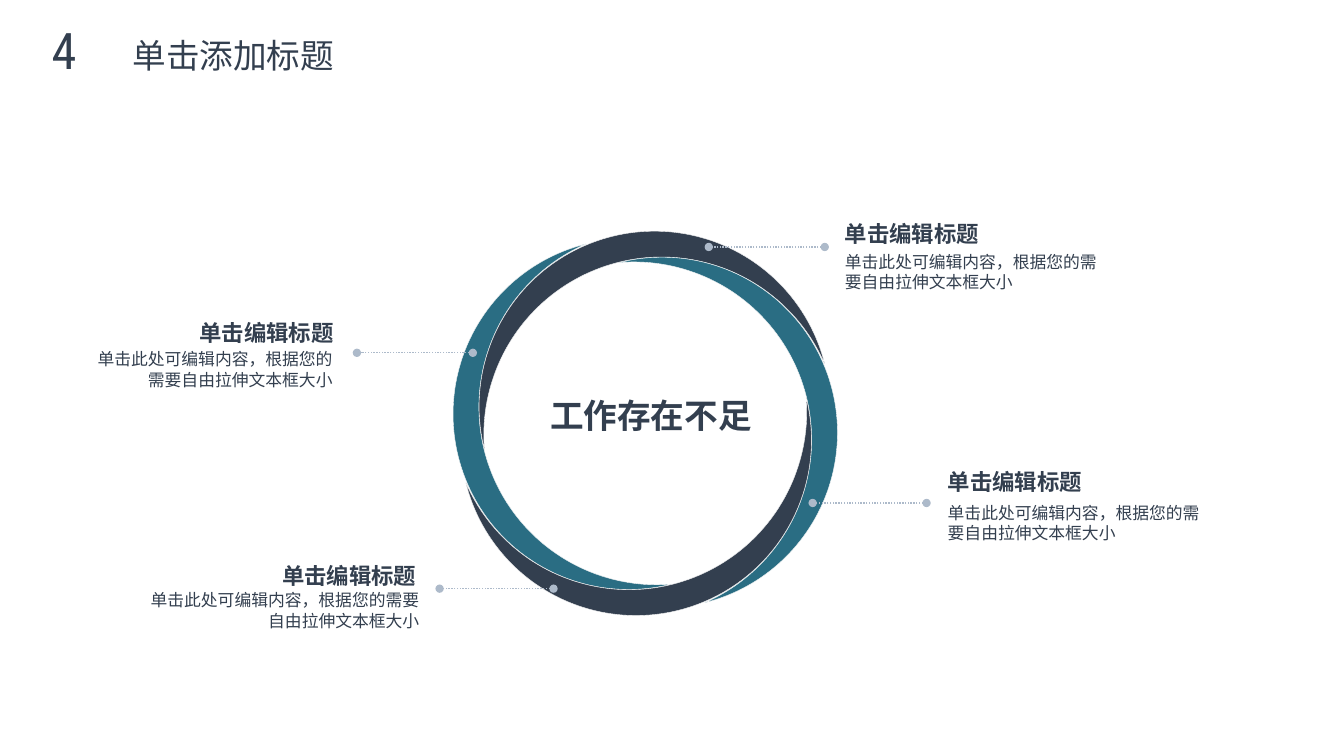
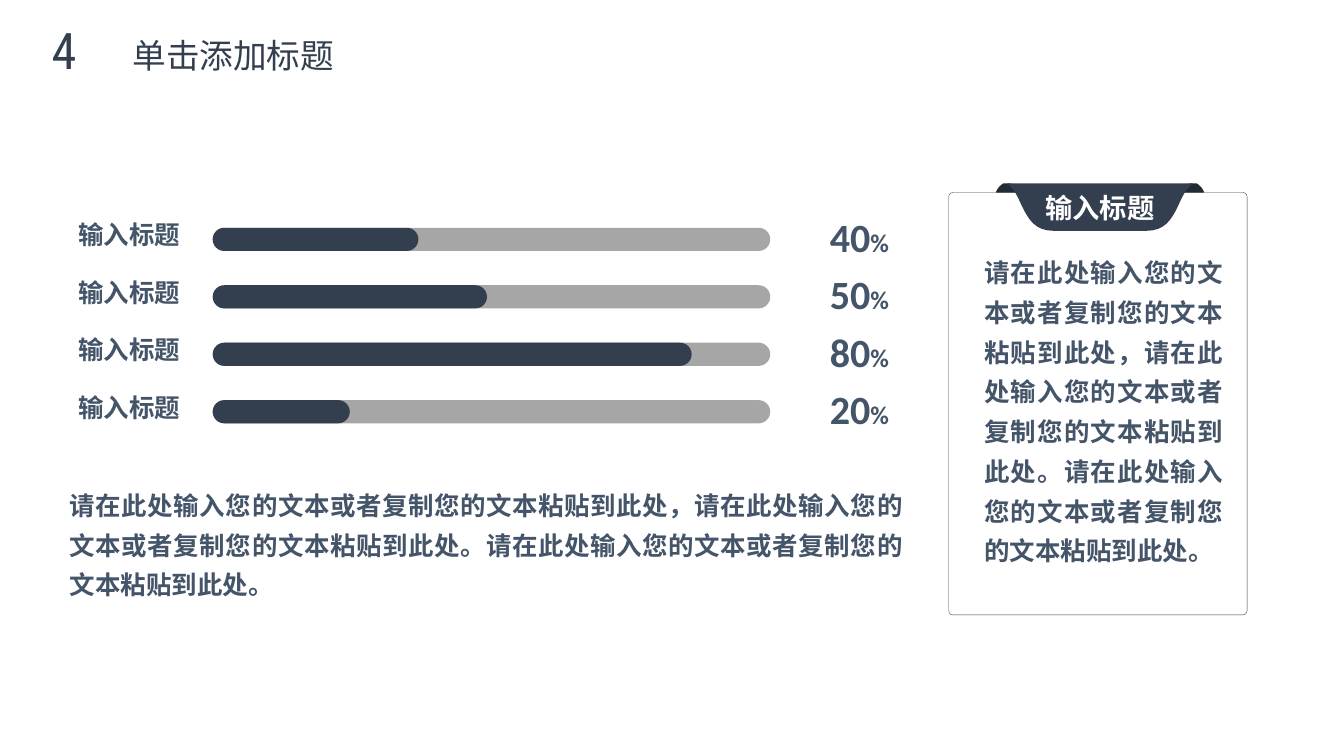
from lxml.etree import SubElement
from pptx import Presentation
from pptx.dml.color import RGBColor
from pptx.enum.dml import MSO_LINE
from pptx.enum.shapes import MSO_CONNECTOR, MSO_SHAPE
from pptx.enum.text import MSO_ANCHOR, MSO_AUTO_SIZE, PP_ALIGN
from pptx.oxml.ns import qn
from pptx.util import Inches, Pt

NAVY = RGBColor(0x33, 0x3F, 0x4F)
DEEP_NAVY = RGBColor(0x22, 0x2A, 0x34)
TEAL = RGBColor(0x2A, 0x6D, 0x83)
SLATE = RGBColor(0x44, 0x54, 0x69)
MIST = RGBColor(0xAD, 0xBA, 0xCA)
GREY = RGBColor(0xA6, 0xA6, 0xA6)
PALE = RGBColor(0xF8, 0xF8, 0xF8)
WHITE = RGBColor(0xFF, 0xFF, 0xFF)

HAN = "Noto Sans CJK SC"
LEFT, RIGHT, CENTER, JUSTIFY = PP_ALIGN.LEFT, PP_ALIGN.RIGHT, PP_ALIGN.CENTER, PP_ALIGN.JUSTIFY
SINGLE, LOOSE = 1.22, 1.56
NO_INSET = (0, 0)
DEFAULT_INSET = (0.1, 0.05)
WIDE_INSET = (0.12, 0.06)

SECTION = "4"
TITLE = "单击添加标题"
RING_TITLE = "工作存在不足"
CALLOUT_TITLE = "单击编辑标题"
CALLOUT_TEXT = "单击此处可编辑内容，根据您的需要自由拉伸文本框大小"
CALLOUTS = [
    {"align": RIGHT, "head": (1.17, 3.16, 2.14), "body": (0.89, 3.46, 2.41), "line": (4.69, 3.54, 3.5)},
    {"align": LEFT, "head": (8.38, 2.18, 1.38), "body": (8.38, 2.49, 2.61), "line": (8.18, 7.03, 2.45)},
    {"align": RIGHT, "head": (1.99, 5.57, 2.14), "body": (1.49, 5.85, 2.67), "line": (5.49, 4.36, 5.84)},
    {"align": LEFT, "head": (9.4, 4.64, 2.14), "body": (9.4, 4.98, 2.57), "line": (9.19, 8.06, 4.99)},
]

BAR_LABEL = "输入标题"
BARS = [("40", 2.04), ("50", 2.72), ("80", 4.75), ("20", 1.36)]
BAR_LEFT, BAR_TOP, BAR_WIDTH, BAR_HEIGHT, BAR_PITCH = 2.11, 2.26, 5.53, 0.23, 0.57
CARD_TITLE = "输入标题"
PARAGRAPH = (
    "请在此处输入您的文本或者复制您的文本粘贴到此处，"
    "请在此处输入您的文本或者复制您的文本粘贴到此处。"
    "请在此处输入您的文本或者复制您的文本粘贴到此处。"
)
CARD_AXIS = 10.91
RIBBON_CURVE = [(10.05, 1.88), (10.16, 2.04), (10.18, 2.29), (10.45, 2.29)]
FOLD_RISE = [(9.88, 1.9), (9.9, 1.86), (9.92, 1.84), (9.95, 1.82)]
FOLD_FALL = [(10.02, 1.82), (10.06, 1.84), (10.08, 1.86), (10.1, 1.9)]


def apply_format(target, values):
    for name, value in values.items():
        setattr(target, name, value)


def write_text(shape, runs, color, align=LEFT, inset=NO_INSET, anchor=MSO_ANCHOR.TOP,
               spacing=None, grow=False):
    frame = shape.text_frame
    apply_format(frame, {
        "word_wrap": True,
        "vertical_anchor": anchor,
        "auto_size": MSO_AUTO_SIZE.SHAPE_TO_FIT_TEXT if grow else MSO_AUTO_SIZE.NONE,
        "margin_left": Inches(inset[0]), "margin_right": Inches(inset[0]),
        "margin_top": Inches(inset[1]), "margin_bottom": Inches(inset[1]),
    })
    para = frame.paragraphs[0]
    para.alignment = align
    if spacing:
        para.line_spacing = Pt(round(runs[0][1] * spacing, 1))
    for text, size, font, bold in runs:
        span = para.add_run()
        span.text = text
        apply_format(span.font, {"size": Pt(size), "bold": bold, "name": font})
        span.font.color.rgb = color
        SubElement(span.font._element, qn("a:ea")).set("typeface", HAN)


def add_text(page, place, runs, color, **layout):
    box = page.shapes.add_textbox(*map(Inches, place))
    write_text(box, runs, color, **layout)


def paint(shape, fill=None, line=None):
    shape.shadow.inherit = False
    if fill is None:
        shape.fill.background()
    else:
        shape.fill.solid()
        shape.fill.fore_color.rgb = fill
    if line is None:
        shape.line.fill.background()
    else:
        shape.line.color.rgb = line
        shape.line.width = Pt(0.25)


def add_preset(page, kind, place, adjustment, fill=None, line=None):
    shape = page.shapes.add_shape(kind, *map(Inches, place))
    shape.adjustments[0] = adjustment
    paint(shape, fill, line)
    return shape


def add_outline(page, points, fill):
    corners = [(Inches(x), Inches(y)) for x, y in points]
    builder = page.shapes.build_freeform(*corners[0], scale=1.0)
    builder.add_line_segments(corners[1:], close=True)
    shape = builder.convert_to_shape()
    paint(shape, fill)
    return shape


def curve(controls, steps=12):
    points = []
    for step in range(steps + 1):
        t = step / steps
        weights = ((1 - t) ** 3, 3 * t * (1 - t) ** 2, 3 * t * t * (1 - t), t ** 3)
        points.append(tuple(sum(w * p[axis] for w, p in zip(weights, controls)) for axis in (0, 1)))
    return points


def mirror(points):
    return [(2 * CARD_AXIS - x, y) for x, y in reversed(points)]


def add_dotted_line(page, start, end, y):
    line = page.shapes.add_connector(
        MSO_CONNECTOR.STRAIGHT, Inches(start), Inches(y), Inches(end), Inches(y))
    line.line.color.rgb = MIST
    apply_format(line.line, {"width": Pt(1), "dash_style": MSO_LINE.ROUND_DOT})
    outline = line.line._get_or_add_ln()
    for tag in ("a:headEnd", "a:tailEnd"):
        SubElement(outline, qn(tag)).set("type", "oval")
    SubElement(line._element.spPr, qn("a:effectLst"))


def add_page(deck):
    page = deck.slides.add_slide(deck.slide_layouts[6])
    add_text(page, (1.08, 0.29, 2.47, 0.51), [(TITLE, 24, HAN, False)], NAVY,
             align=CENTER, inset=DEFAULT_INSET, spacing=SINGLE, grow=True)
    add_text(page, (0.29, 0.19, 0.69, 0.61), [(SECTION, 36, "Roboto Condensed", False)], NAVY,
             align=CENTER, grow=True)
    return page


def build_ring_page(deck):
    page = add_page(deck)
    center_x, center_y, width, height = 6.4, 4.2, 1.74, 3.48
    dx, dy = -1.01, 0.12
    for turn, color in enumerate((TEAL, NAVY, TEAL, NAVY)):
        place = (center_x + dx - width / 2, center_y + dy - height / 2, width, height)
        moon = add_preset(page, MSO_SHAPE.MOON, place, 0.152, color, PALE)
        moon.rotation = (345.9 + 90 * turn) % 360
        dx, dy = -dy, dx
    add_text(page, (5.3, 3.86, 2.31, 0.5), [(RING_TITLE, 24, "Arial", True)], NAVY,
             align=CENTER, inset=DEFAULT_INSET, spacing=SINGLE, grow=True)
    for callout in CALLOUTS:
        layout = {"align": callout["align"], "spacing": SINGLE, "grow": True}
        add_text(page, (*callout["head"], 0.27), [(CALLOUT_TITLE, 16, "Arial", True)], NAVY, **layout)
        add_text(page, (*callout["body"], 0.4), [(CALLOUT_TEXT, 12, "Arial", False)], NAVY, **layout)
        add_dotted_line(page, *callout["line"])


def build_progress_page(deck):
    page = add_page(deck)
    for row, (percent, filled) in enumerate(BARS):
        top = BAR_TOP + row * BAR_PITCH
        for width, color in ((BAR_WIDTH, GREY), (filled, NAVY)):
            add_preset(page, MSO_SHAPE.ROUNDED_RECTANGLE,
                       (BAR_LEFT, top, width, BAR_HEIGHT), 0.5, color)
        add_text(page, (0.61, top - 0.13, 1.3, 0.39), [(BAR_LABEL, 18.2, HAN, True)], SLATE,
                 align=RIGHT, inset=WIDE_INSET, anchor=MSO_ANCHOR.MIDDLE, spacing=SINGLE)
        add_text(page, (8.23, top - 0.1, 1.02, 0.37),
                 [(percent, 28.6, "Calibri", True), ("%", 18.2, "Calibri", True)], SLATE,
                 anchor=MSO_ANCHOR.MIDDLE)

    add_preset(page, MSO_SHAPE.ROUNDED_RECTANGLE, (9.41, 1.91, 2.96, 4.19), 0.014, line=NAVY)
    fold = [(9.88, 1.91), *curve(FOLD_RISE), *curve(FOLD_FALL), (10.1, 1.91)]
    for points in (fold, mirror(fold)):
        add_outline(page, points, DEEP_NAVY)
    half = [(9.99, 1.82), *curve(RIBBON_CURVE)]
    ribbon = add_outline(page, half + mirror(half), NAVY)
    write_text(ribbon, [(CARD_TITLE, 19.5, HAN, True)], WHITE, align=CENTER,
               inset=WIDE_INSET, anchor=MSO_ANCHOR.MIDDLE, spacing=SINGLE)

    for place in ((0.57, 4.71, 8.51, 1.35), (9.64, 2.4, 2.61, 3.54)):
        add_text(page, place, [(PARAGRAPH, 18.2, HAN, True)], SLATE,
                 align=JUSTIFY, inset=WIDE_INSET, spacing=LOOSE)


def main():
    deck = Presentation()
    deck.slide_width, deck.slide_height = Inches(13.33), Inches(7.5)
    build_ring_page(deck)
    build_progress_page(deck)
    deck.save("out.pptx")


if __name__ == "__main__":
    main()
